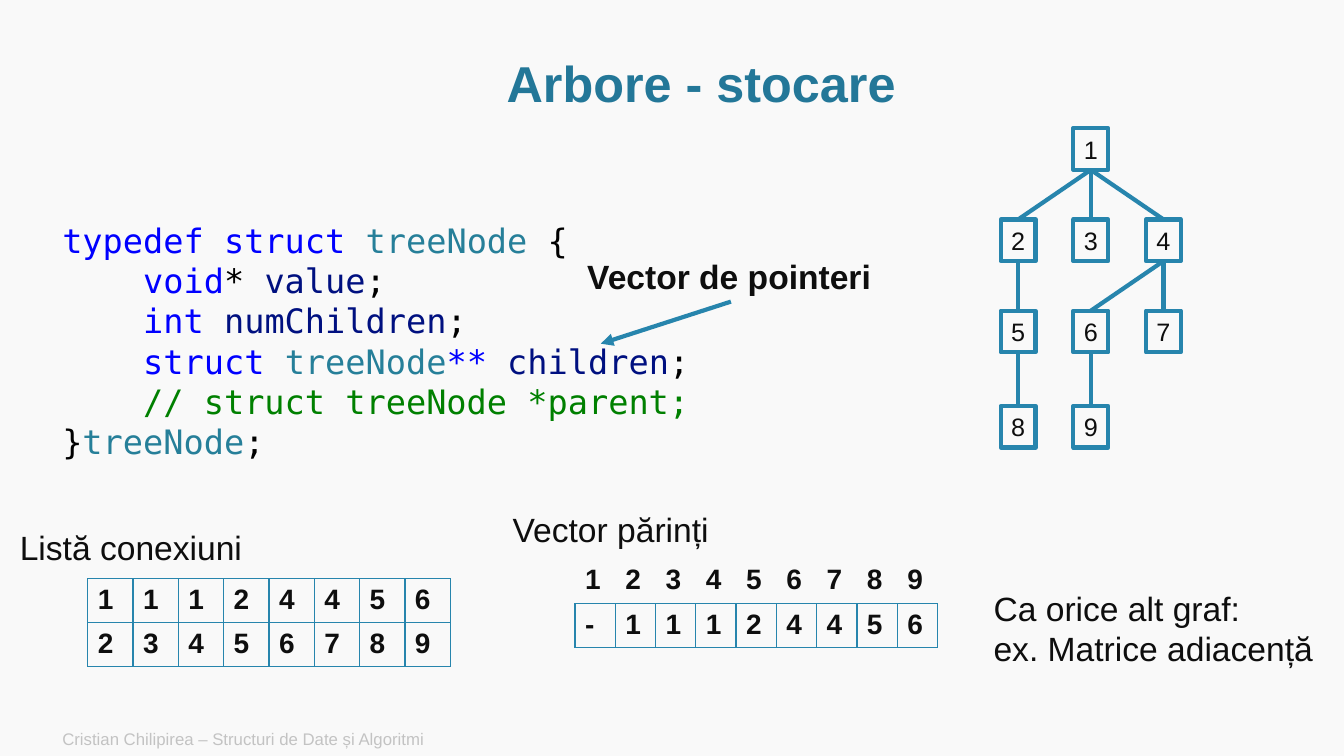
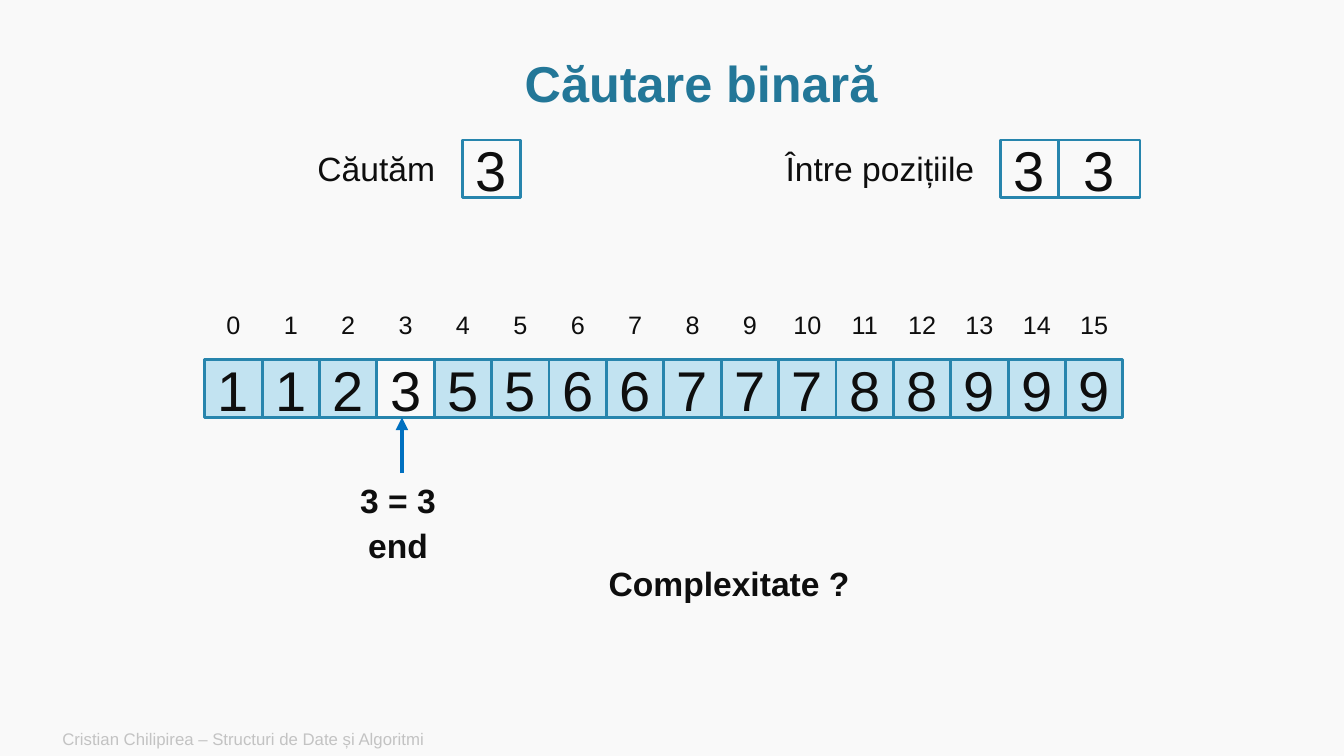
from dataclasses import dataclass

from lxml.etree import SubElement
from pptx import Presentation
from pptx.dml.color import RGBColor
from pptx.enum.shapes import MSO_CONNECTOR, MSO_SHAPE
from pptx.enum.text import MSO_ANCHOR, MSO_AUTO_SIZE, PP_ALIGN
from pptx.oxml.ns import qn
from pptx.util import Cm, Pt


@dataclass(frozen=True)
class Theme:
    # Colours
    back: str = "F9F9F9"
    ink: str = "0E0E0E"
    title: str = "237798"
    line: str = "2785AD"
    fill: str = "C2E3F1"
    arrow: str = "0070C0"
    foot: str = "C3C3C3"
    # Code colours
    key: str = "0000FF"
    kind: str = "267F99"
    name: str = "001080"
    note: str = "008000"
    sign: str = "000000"
    # Fonts and type sizes
    font: str = "Arial"
    mono: str = "DejaVu Sans Mono"
    head: int = 36
    digit: int = 40
    body: int = 24
    grid: int = 20
    small: int = 18
    tiny: int = 12


T = Theme()
NO_GRID = "{2D5ABB26-0587-4C30-8999-92F81FD0307C}"


def rgb(color):
    return RGBColor.from_string(color)


def place(box):
    return [Cm(v) for v in box]


def style(para, size, color=T.ink, bold=False, align=PP_ALIGN.LEFT):
    para.alignment = align
    font = para.font
    font.name, font.size, font.bold = T.font, Pt(size), bold
    font.color.rgb = rgb(color)


# Basic parts

def label(slide, box, text, size=T.body, anchor=MSO_ANCHOR.TOP, **look):
    frame = slide.shapes.add_textbox(*place(box)).text_frame
    frame.word_wrap = True
    frame.vertical_anchor = anchor
    frame.text = text
    for para in frame.paragraphs:
        style(para, size, **look)


def square(slide, box, text, size, width, fill=None, wrap=True):
    shape = slide.shapes.add_shape(MSO_SHAPE.RECTANGLE, *place(box))
    shape.shadow.inherit = False
    if fill:
        shape.fill.solid()
        shape.fill.fore_color.rgb = rgb(fill)
    else:
        shape.fill.background()
    shape.line.color.rgb = rgb(T.line)
    shape.line.width = Pt(width)
    frame = shape.text_frame
    frame.word_wrap = wrap
    frame.vertical_anchor = MSO_ANCHOR.MIDDLE
    frame.text = str(text)
    style(frame.paragraphs[0], size, align=PP_ALIGN.CENTER)
    return shape


def link(slide, ends=(0, 0, 0, 0), color=T.line, arrow=False):
    line = slide.shapes.add_connector(MSO_CONNECTOR.STRAIGHT, *place(ends))
    line.line.color.rgb = rgb(color)
    line.line.width = Pt(3)
    if arrow:
        SubElement(line.line._get_or_add_ln(), qn("a:tailEnd"), type="triangle")
    SubElement(line._element.spPr, qn("a:effectLst"))
    return line


def border(cell):
    props = cell._tc.get_or_add_tcPr()
    for side in ("lnL", "lnR", "lnT", "lnB"):
        edge = SubElement(props, qn(f"a:{side}"), w=str(Pt(1)))
        paint = SubElement(edge, qn("a:solidFill"))
        SubElement(paint, qn("a:srgbClr"), val=T.line)


def grid(slide, box, rows, bare=0):
    """Table of digits; the first `bare` rows have no borders."""
    table = slide.shapes.add_table(len(rows), len(rows[0]), *place(box)).table
    table.first_row = table.horz_banding = False
    table._tbl.tblPr.find(qn("a:tableStyleId")).text = NO_GRID
    for r, row in enumerate(rows):
        for c, text in enumerate(row):
            cell = table.cell(r, c)
            if r >= bare:
                border(cell)
            cell.fill.background()
            cell.text = text
            style(cell.text_frame.paragraphs[0], T.grid, bold=True)


def start(deck, title):
    """New slide with its title and footer."""
    slide = deck.slides.add_slide(deck.slide_layouts[5])
    head = slide.shapes.title
    head.left, head.top, head.width, head.height = place((2.9, 1.3, 29.54, 1.75))
    frame = head.text_frame
    frame.auto_size = MSO_AUTO_SIZE.NONE
    frame.vertical_anchor = MSO_ANCHOR.MIDDLE
    frame.text = title
    para = frame.paragraphs[0]
    para.line_spacing = 0.9
    style(para, T.head, T.title, True, PP_ALIGN.CENTER)
    label(slide, (1.32, 18.19, 21.34, 0.86),
          "Cristian Chilipirea – Structuri de Date și Algoritmi",
          T.tiny, MSO_ANCHOR.MIDDLE, color=T.foot)
    return slide


# Regions of the storage slide

CODE = [
    [("typedef struct ", T.key), ("treeNode", T.kind), (" {", T.sign)],
    [("    void", T.key), ("* ", T.sign), ("value", T.name), (";", T.sign)],
    [("    int ", T.key), ("numChildren", T.name), (";", T.sign)],
    [("    struct ", T.key), ("treeNode", T.kind), ("** ", T.key),
     ("children", T.name), (";", T.sign)],
    [("    // struct treeNode *parent;", T.note)],
    [("}", T.sign), ("treeNode", T.kind), (";", T.sign)],
]


def code(slide, box):
    frame = slide.shapes.add_textbox(*place(box)).text_frame
    frame.word_wrap = True
    for i, parts in enumerate(CODE):
        para = frame.add_paragraph() if i else frame.paragraphs[0]
        para.line_spacing = Pt(28.8)
        para.font.name, para.font.size = T.mono, Pt(T.body)
        for text, color in parts:
            run = para.add_run()
            run.text = text
            run.font.color.rgb = rgb(color)


def tree(slide, left, top):
    tops = (0, 2.3, 4.6, 7.0)
    # Column and row of each node
    spots = {1: (1, 0), 2: (0, 1), 3: (1, 1), 4: (2, 1), 5: (0, 2),
             6: (1, 2), 7: (2, 2), 8: (0, 3), 9: (1, 3)}
    edges = [(1, 2), (1, 3), (1, 4), (2, 5), (4, 6), (4, 7), (5, 8), (6, 9)]
    nodes = {
        key: square(slide, (left + 1.83 * col, top + tops[row], 0.88, 1.05),
                    key, T.small, 3, wrap=False)
        for key, (col, row) in spots.items()
    }
    for up, down in edges:
        line = link(slide)
        line.begin_connect(nodes[up], 2)
        line.end_connect(nodes[down], 0)


def lists(slide, left, top):
    label(slide, (left, top + 0.46, 6.6, 1.27), "Listă conexiuni")
    grid(slide, (left + 1.96, top + 1.88, 9.14, 2.22), ["11124456", "23456789"])
    label(slide, (left + 12.42, top, 6, 1.27), "Vector părinți")
    grid(slide, (left + 14.24, top + 1.4, 9.14, 2.22),
         ["123456789", "-11124456"], bare=1)
    label(slide, (left + 24.54, top + 1.98, 9, 2.31),
          "Ca orice alt graf:\nex. Matrice adiacență")


def storage(deck):
    slide = start(deck, "Arbore - stocare")
    code(slide, (1.32, 5.41, 17.45, 6.4))
    tree(slide, 25.22, 3.23)
    lists(slide, 0.25, 12.7)
    # Note on the pointer array
    label(slide, (14.55, 6.32, 8, 1.27), "Vector de pointeri", bold=True)
    link(slide, (18.42, 7.6, 15.14, 8.66), arrow=True)


# Regions of the search slide

def query(slide, left, top, text, gap, widths):
    """Caption followed by boxes that each hold a 3."""
    label(slide, (left, top + 0.08, gap, 1.27), text)
    x = left + gap
    for width in widths:
        square(slide, (x, top, width, 1.45), 3, T.digit, 2)
        x += width


def array(slide, left, top, width, values, hit):
    side = width / len(values)
    for i, value in enumerate(values):
        x = left + i * side
        label(slide, (x, top - 1.4, side, 1.02), str(i), T.small,
              align=PP_ALIGN.CENTER)
        square(slide, (x, top, side, side), value, T.digit, 2,
               None if i == hit else T.fill)


def result(slide, left, top, width):
    mid = left + width / 2
    link(slide, (mid + 0.1, top + 1.4, mid + 0.1, top), T.arrow, True)
    for i, text in enumerate(("3 = 3", "end")):
        label(slide, (left, top + 1.45 + 1.12 * i, width, 1.27), text,
              bold=True, align=PP_ALIGN.CENTER)


def search(deck):
    slide = start(deck, "Căutare binară")
    query(slide, 7.75, 3.53, "Căutăm", 3.91, [1.45])
    query(slide, 19.55, 3.53, "Între pozițiile", 5.67, [1.45, 2.06])
    array(slide, 5.16, 9.07, 23.14, "1123556677788999", 3)
    result(slide, 8.53, 10.52, 3)
    label(slide, (15.09, 14.07, 7, 1.27), "Complexitate ?", bold=True)


def main():
    deck = Presentation()
    deck.slide_width, deck.slide_height = Cm(33.87), Cm(19.05)
    back = deck.slide_master.background.fill
    back.solid()
    back.fore_color.rgb = rgb(T.back)
    storage(deck)
    search(deck)
    deck.save("out.pptx")


if __name__ == "__main__":
    main()
